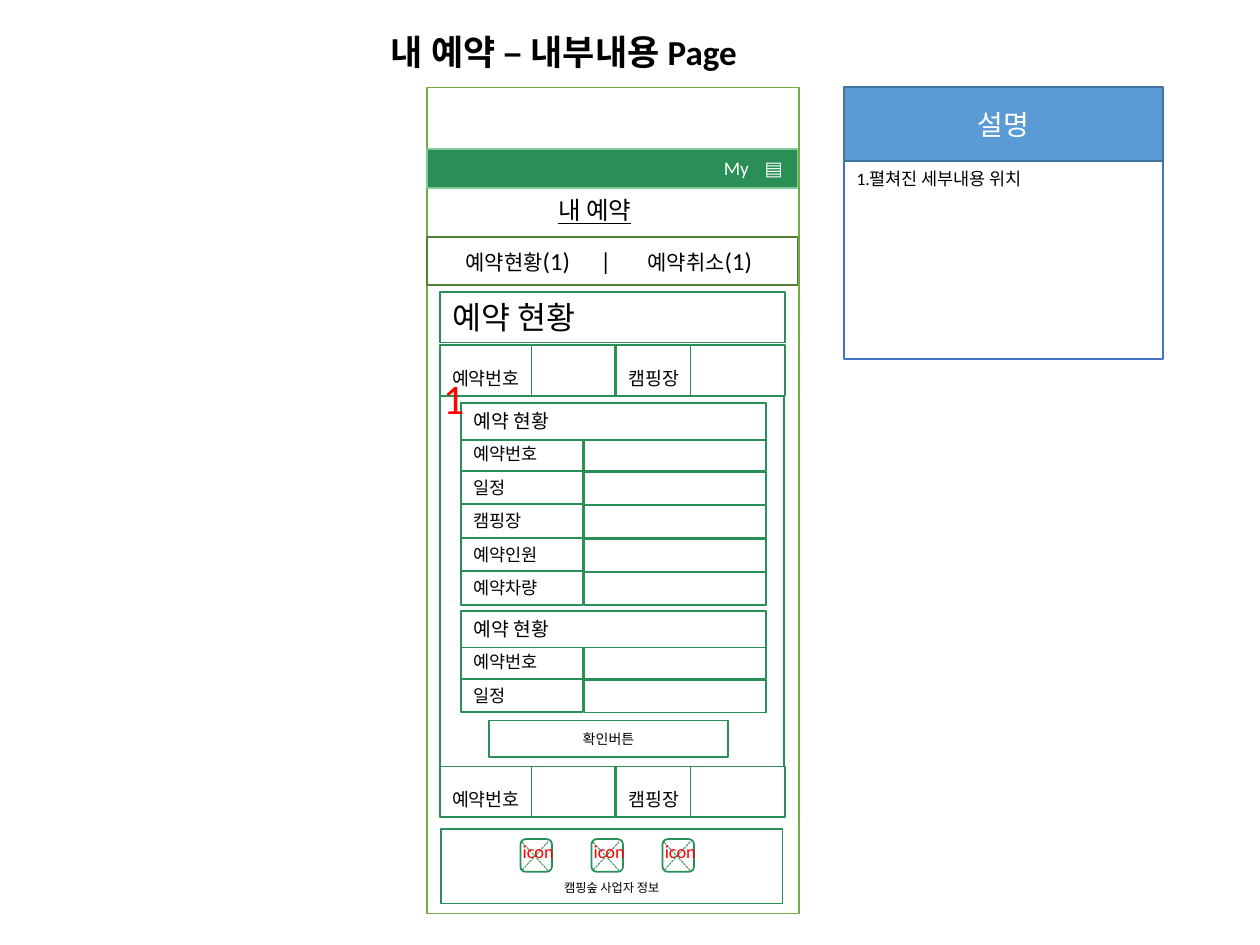
from lxml import etree
from pptx import Presentation
from pptx.dml.color import RGBColor
from pptx.enum.dml import MSO_LINE
from pptx.enum.shapes import MSO_CONNECTOR, MSO_SHAPE
from pptx.enum.text import MSO_ANCHOR, PP_ALIGN
from pptx.oxml.ns import qn
from pptx.util import Pt

RECT, ROUND = MSO_SHAPE.RECTANGLE, MSO_SHAPE.ROUNDED_RECTANGLE
STRAIGHT = MSO_CONNECTOR.STRAIGHT
DASH = MSO_LINE.SQUARE_DOT
TOP, MIDDLE, BOTTOM = MSO_ANCHOR.TOP, MSO_ANCHOR.MIDDLE, MSO_ANCHOR.BOTTOM
LEFT, CENTER = PP_ALIGN.LEFT, PP_ALIGN.CENTER
C = {"white": "FFFFFF", "black": "000000", "red": "FF0000", "green": "2A8E57",
     "frame": "70AD47", "mint": "85C89A", "olive": "538035",
     "blue": "5B9BD5", "navy": "43739E", "note": "4472C4"}

prs = Presentation()
prs.slide_width, prs.slide_height = Pt(720), Pt(540)
s = prs.slides.add_slide(prs.slide_layouts[6])


def box(x, y, w, h, text="", size=10, color="black", fill="white", line="green",
        align=LEFT, anchor=TOP, shape=RECT):
    if line:
        sp = s.shapes.add_shape(shape, Pt(x), Pt(y), Pt(w), Pt(h))
        sp.shadow.inherit = False
        sp.line.color.rgb = RGBColor.from_string(C[line])
        sp.line.width = Pt(1)
    else:
        sp = s.shapes.add_textbox(Pt(x), Pt(y), Pt(w), Pt(h))
    if fill:
        sp.fill.solid()
        sp.fill.fore_color.rgb = RGBColor.from_string(C[fill])
    else:
        sp.fill.background()
    tf = sp.text_frame
    tf.word_wrap = True
    tf.vertical_anchor = anchor
    if text:
        p = tf.paragraphs[0]
        p.text = text
        p.alignment = align
        p.font.size = Pt(size)
        p.font.name = "Calibri"
        p.font.color.rgb = RGBColor.from_string(C[color])
    return sp


def rule(x1, y1, x2, y2, dash=None):
    c = s.shapes.add_connector(STRAIGHT, Pt(x1), Pt(y1), Pt(x2), Pt(y2))
    c.line.color.rgb = RGBColor.from_string(C["green"])
    c.line.width = Pt(0.5)
    if dash:
        c.line.dash_style = dash
    etree.SubElement(c._element.spPr, qn("a:effectLst"))


box(244, 50, 212.4, 472, line="frame")
box(482.4, 92.2, 182.2, 113, "1.펼쳐진 세부내용 위치", line="note")
box(482.4, 49.7, 182.2, 42.5, "설명", 16, "white", "blue", "navy", CENTER, MIDDLE)

box(244, 85, 211.7, 22.3, fill="green", line="mint")
for x, w, text in [(403.9, 33.8, "My"), (429.8, 23, "▤")]:
    box(x, 86.4, w, 18.7, text, 11, "white", None, "green", CENTER, MIDDLE)

title = box(172.8, 13.7, 298.8, 31.7, "내 예약 – 내부내용 Page", 20,
            fill=None, line=None, align=CENTER)
title.text_frame.paragraphs[0].font.bold = True
heading = box(311.8, 108, 59.8, 24.5, "내 예약", 14, fill=None, line=None)
heading.text_frame.word_wrap = False
heading.text_frame.paragraphs[0].font.underline = True

tabs = box(244, 135.4, 211.7, 27.4, fill=None, line="olive", anchor=MIDDLE)
tabs.text_frame.margin_left = Pt(22)
p = tabs.text_frame.paragraphs[0]
p.alignment = LEFT
stops = etree.SubElement(p._p.get_or_add_pPr(), qn("a:tabLst"))
for pos in (77, 104):
    etree.SubElement(stops, qn("a:tab"), pos=str(Pt(pos)), algn="l")
p.font.name = "Calibri"
p.font.color.rgb = RGBColor.from_string(C["black"])
for text, size in [("예약현황", 12), ("(1)\t|\t", 14), ("예약취소", 12), ("(1)", 14)]:
    r = p.add_run()
    r.text = text
    r.font.size = Pt(size)

footer = box(252, 473.8, 195.1, 42.5, "캠핑숲 사업자 정보", 7, align=CENTER, anchor=BOTTOM)
footer.text_frame.margin_bottom = Pt(5)
for i in range(3):
    x = 297.4 + 40.6 * i
    box(x, 479.5, 18, 18.7, shape=ROUND)
    rule(x + 15.8, 497.5, x + 0.7, 481, DASH)
    rule(x + 15.8, 481, x + 0.7, 497.5, DASH)
    box(x - 5.8, 476.6, 35.3, 21.6, "icon", 10.5, "red", None, None)

box(251.3, 167, 197.3, 28.8, "예약 현황", 18)
box(251.3, 226.1, 196.6, 212.4)
for y in (197.3, 438):
    for x, w, split, text in [(251.3, 100.1, 303.8, "예약번호"), (352.1, 96.5, 394.6, "캠핑장")]:
        box(x, y, w, 28.8, text, 10.5, anchor=BOTTOM)
        rule(split, y, split, y + 28.8)

fields = ["예약번호", "일정", "캠핑장", "예약인원", "예약차량"]
for y, labels in [(230.4, fields), (349.2, fields[:2])]:
    for i, label in enumerate(labels):
        row = y + 19.4 + 19.1 * i
        box(263.5, row, 69.8, 19.4, label, fill=None)
        box(334.1, row + 0.8, 103.7, 18.7, fill=None)
    box(263.5, y, 174.2, 20.9, "예약 현황", 11)

box(279.4, 411.8, 136.8, 20.9, "확인버튼", 8, fill=None, align=CENTER, anchor=MIDDLE)
box(246.2, 209.5, 38.2, 36, "1", 24, "red", None, None)

prs.save("out.pptx")
